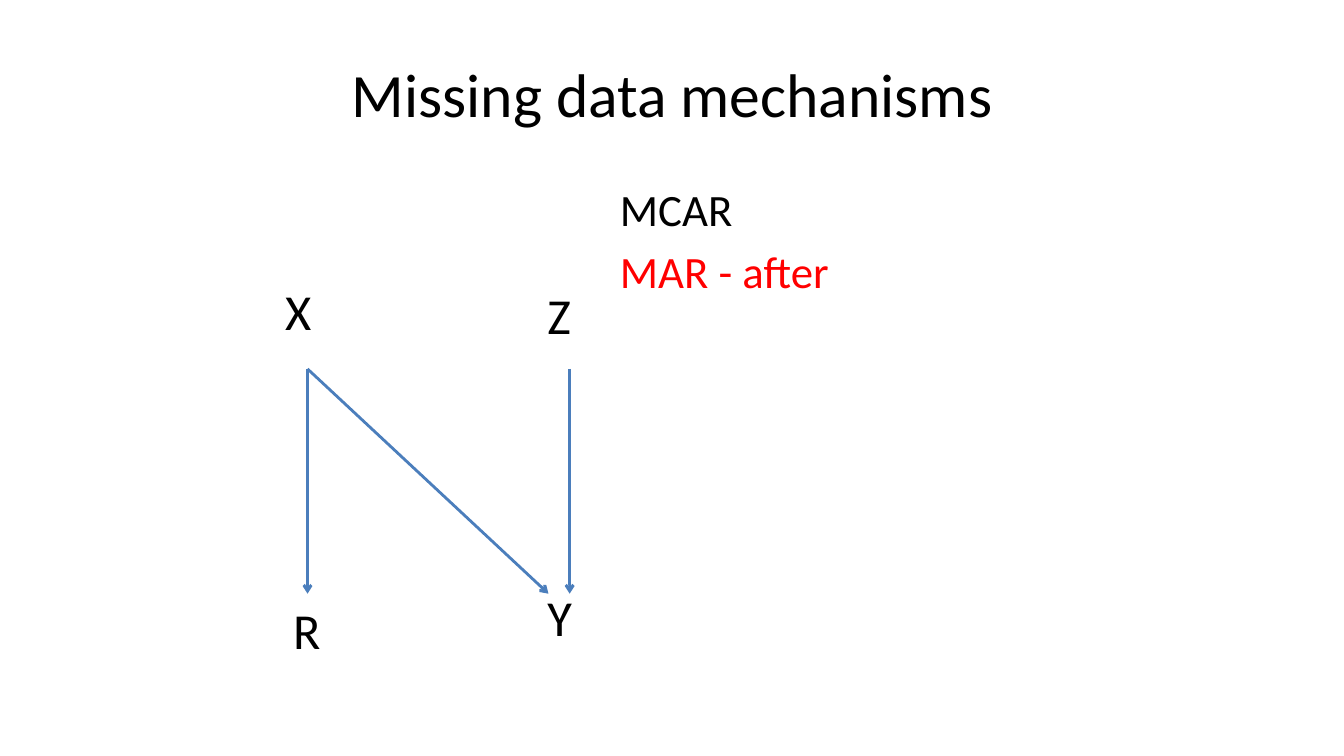
from lxml import etree
from pptx import Presentation
from pptx.dml.color import RGBColor
from pptx.enum.shapes import MSO_CONNECTOR
from pptx.enum.text import MSO_ANCHOR, PP_ALIGN
from pptx.oxml.ns import qn
from pptx.util import Inches, Pt

WIDTH, HEIGHT = 13.33, 7.5
FONT = "Calibri"
COLORS = {"text": "000000", "highlight": "FF0000", "arrow": "4B7EBC"}

TITLE_BOX = (0.67, 0.3, 12, 1.25)
MECHANISMS_BOX = (6.05, 1.75, 5.11, 4.95)
GRAPH_BOX = (2.73, 2.73, 5.2, 3.87)

# Offsets from the corner of the graph: left, top, width
NODES = {
    "X": (0, 0, 2.6),
    "Z": (2.6, 0.04, 2.6),
    "R": (0.08, 3.16, 1.89),
    "Y": (2.6, 3.04, 2.6),
}
NODE_HEIGHT = 0.71
# Start and end of each arrow, across the graph
ARROWS = [(0.32, 0.32), (0.32, 2.71), (2.92, 2.92)]
ARROW_TOP, ARROW_BOTTOM = 0.93, 3.16


def place(shape, box):
    shape.left, shape.top, shape.width, shape.height = map(Inches, box)


def write(paragraph, text, size, color="text", align=PP_ALIGN.LEFT, before=0):
    paragraph.alignment = align
    paragraph.space_before = Pt(before)
    run = paragraph.add_run()
    run.text = text
    run.font.name = FONT
    run.font.size = Pt(size)
    run.font.color.rgb = RGBColor.from_string(COLORS[color])


def add_text_frame(slide, box):
    shape = slide.shapes.add_textbox(*map(Inches, box))
    shape.text_frame.word_wrap = True
    return shape.text_frame


def add_arrow(slide, start, end):
    connector = slide.shapes.add_connector(
        MSO_CONNECTOR.STRAIGHT, *map(Inches, start + end))
    connector.line.color.rgb = RGBColor.from_string(COLORS["arrow"])
    connector.line.width = Pt(2)
    line = connector.line._get_or_add_ln()
    etree.SubElement(line, qn("a:tailEnd"), type="arrow")
    etree.SubElement(connector._element.spPr, qn("a:effectLst"))


def add_title(slide, box, text):
    title = slide.shapes.title
    place(title, box)
    title.text_frame.vertical_anchor = MSO_ANCHOR.MIDDLE
    write(title.text_frame.paragraphs[0], text, 44, align=PP_ALIGN.CENTER)


def add_mechanisms(slide, box):
    frame = add_text_frame(slide, box)
    write(frame.paragraphs[0], "MCAR", 32, before=6.4)
    write(frame.add_paragraph(), "MAR - after", 32, color="highlight", before=6.4)


def add_graph(slide, box):
    """Draw the variables and the arrows between them."""
    left, top = box[:2]
    for name, (across, down, width) in NODES.items():
        frame = add_text_frame(
            slide, (left + across, top + down, width, NODE_HEIGHT))
        write(frame.paragraphs[0], name, 36)
    for start, end in ARROWS:
        add_arrow(slide, (left + start, top + ARROW_TOP),
                  (left + end, top + ARROW_BOTTOM))


def main():
    presentation = Presentation()
    presentation.slide_width = Inches(WIDTH)
    presentation.slide_height = Inches(HEIGHT)
    slide = presentation.slides.add_slide(presentation.slide_layouts[5])
    add_title(slide, TITLE_BOX, "Missing data mechanisms")
    add_mechanisms(slide, MECHANISMS_BOX)
    add_graph(slide, GRAPH_BOX)
    presentation.save("out.pptx")


if __name__ == "__main__":
    main()
